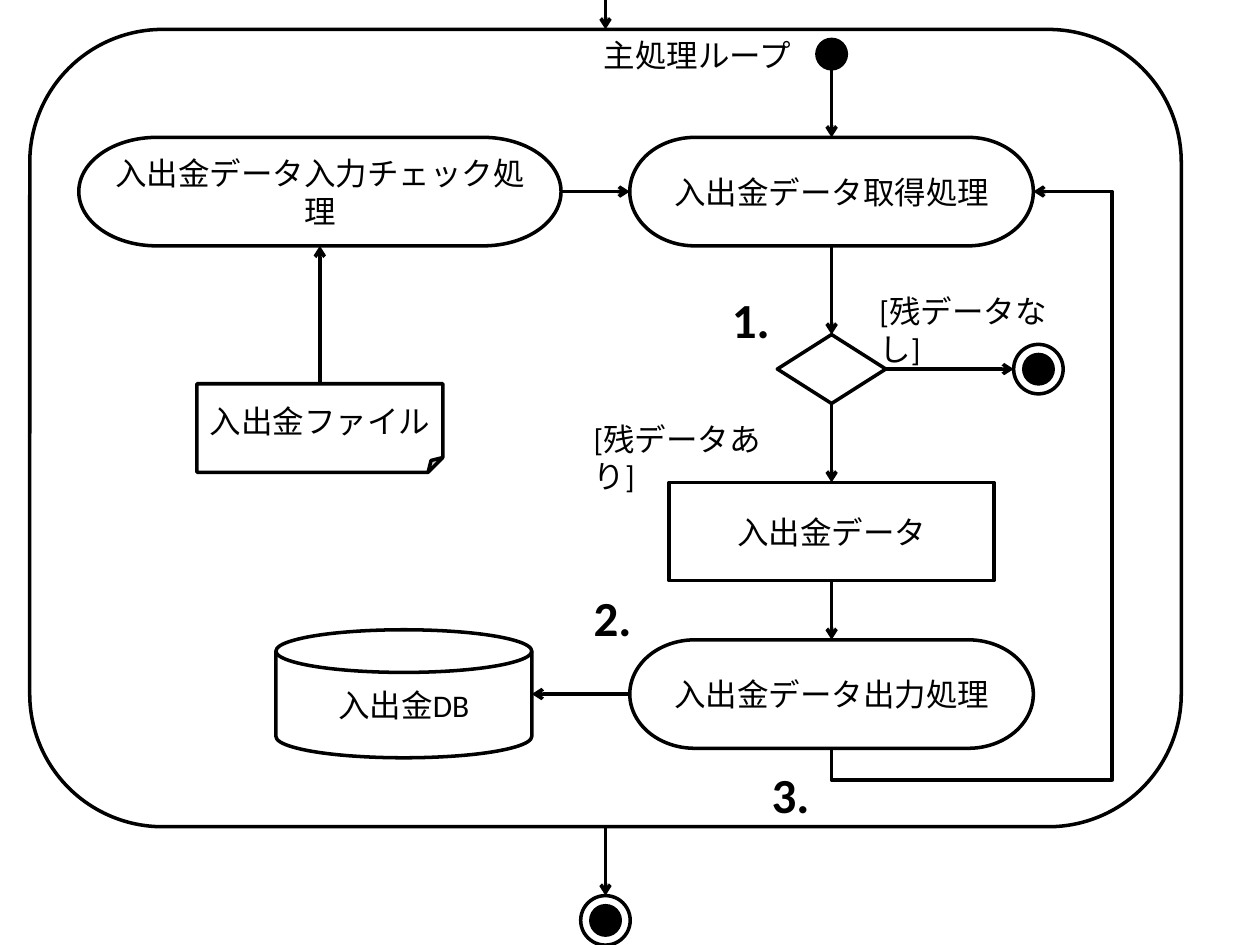
"""Build the activity diagram of the main deposit and withdrawal loop."""
from dataclasses import dataclass

from lxml import etree
from pptx import Presentation
from pptx.dml.color import RGBColor
from pptx.enum import shapes, text
from pptx.oxml import ns
from pptx.util import Pt

BLACK = RGBColor(0, 0, 0)
WHITE = RGBColor(255, 255, 255)
FONT = "Calibri"
KIND = shapes.MSO_SHAPE
TOP, LEFT, BOTTOM, RIGHT = range(4)
MAIN_X, FILE_X, FRAME_X = 475.2, 182.8, 346
DOT, RING = 16.8, 28.3


@dataclass(frozen=True)
class Node:
    kind: KIND
    cx: float
    y: float
    w: float
    h: float
    label: str = ""
    fill: RGBColor | None = WHITE


@dataclass(frozen=True)
class Label:
    x: float
    y: float
    w: float
    h: float
    words: str
    size: float = 18
    bold: bool = False


@dataclass(frozen=True)
class End:
    x: float = 0
    y: float = 0
    node: str = ""
    site: int = TOP


NODES = {
    "frame": Node(KIND.ROUNDED_RECTANGLE, FRAME_X, 16.8, 658, 455.6, fill=None),
    "get": Node(KIND.FLOWCHART_TERMINATOR, MAIN_X, 78.5, 230.6, 62),
    "check": Node(KIND.FLOWCHART_TERMINATOR, FILE_X, 78.5, 275.6, 62),
    "decision": Node(KIND.FLOWCHART_DECISION, MAIN_X, 191.2, 62, 39.4),
    "file": Node(KIND.FOLDED_CORNER, FILE_X, 219.3, 140.6, 50.6),
    "data": Node(KIND.FLOWCHART_PROCESS, MAIN_X, 275.7, 185.6, 56),
    "put": Node(KIND.FLOWCHART_TERMINATOR, MAIN_X, 365.6, 230.6, 62),
    "db": Node(KIND.FLOWCHART_MAGNETIC_DISK, 230.8, 359.9, 146.2, 73.2),
    "start": Node(KIND.OVAL, MAIN_X, 22.5, DOT, DOT, fill=BLACK),
}
WORDS = {
    "get": "入出金データ取得処理",
    "check": "入出金データ入力チェック処理",
    "file": "入出金ファイル",
    "data": "入出金データ",
    "put": "入出金データ出力処理",
    "db": "入出金DB",
}
FINALS = [(593.4, 196.8), (FRAME_X, 511.8)]
LABELS = [
    Label(495.5, 163.2, 129.6, 28.8, "[残データなし]"),
    Label(332.2, 236.3, 129.6, 28.8, "[残データあり]"),
    Label(337.8, 16.8, 140.4, 28.8, "主処理ループ"),
    Label(411.2, 162, 45.4, 41, "1.", 28, True),
    Label(332.2, 332, 45.4, 41, "2.", 28, True),
    Label(433.8, 433.4, 45.4, 41, "3.", 28, True),
]
LINKS = [
    (End(MAIN_X, 39.3), End(node="get")),
    (End(node="check", site=RIGHT), End(node="get", site=LEFT)),
    (End(node="file"), End(node="check", site=BOTTOM)),
    (End(node="get", site=BOTTOM), End(node="decision")),
    (End(node="decision", site=RIGHT), End(579.3, 210.9)),
    (End(node="decision", site=BOTTOM), End(node="data")),
    (End(node="data", site=BOTTOM), End(node="put")),
    (End(node="put", site=LEFT), End(303.9, 396.6)),
    (End(FRAME_X, -16.8), End(node="frame")),
    (End(node="frame", site=BOTTOM), End(FRAME_X, 511.8)),
]


def write(tf, words: str, *, size: float = 18, bold: bool = False, align=None) -> None:
    """Put formatted words into a text frame."""
    tf.word_wrap = True
    p = tf.paragraphs[0]
    p.alignment = align
    r = p.add_run()
    r.text = words
    r.font.name, r.font.size, r.font.bold = FONT, Pt(size), bold
    r.font.color.rgb = BLACK


def add_node(parent, node: Node, words: str = ""):
    """Draw an outlined shape and its centred words."""
    sp = parent.add_shape(node.kind, Pt(node.cx - node.w / 2), Pt(node.y),
                          Pt(node.w), Pt(node.h))
    sp.shadow.inherit = False
    if node.fill is None:
        sp.fill.background()
    else:
        sp.fill.solid()
        sp.fill.fore_color.rgb = node.fill
    sp.line.color.rgb = BLACK
    sp.line.width = Pt(2)
    if words:
        sp.text_frame.vertical_anchor = text.MSO_ANCHOR.MIDDLE
        write(sp.text_frame, words, align=text.PP_ALIGN.CENTER)
    return sp


def add_final(s, cx: float, y: float) -> None:
    """Draw a ringed end point."""
    group = s.shapes.add_group_shape().shapes
    add_node(group, Node(KIND.OVAL, cx, y + (RING - DOT) / 2, DOT, DOT, fill=BLACK))
    add_node(group, Node(KIND.OVAL, cx, y, RING, RING, fill=None))


def add_label(s, label: Label) -> None:
    """Draw a free text label."""
    sp = s.shapes.add_textbox(Pt(label.x), Pt(label.y), Pt(label.w), Pt(label.h))
    write(sp.text_frame, label.words, size=label.size, bold=label.bold)
    sp.text_frame.auto_size = text.MSO_AUTO_SIZE.SHAPE_TO_FIT_TEXT


def add_arrow(s, kind, x1: float, y1: float, x2: float, y2: float):
    """Draw a connector with an open arrowhead at its end."""
    c = s.shapes.add_connector(kind, Pt(x1), Pt(y1), Pt(x2), Pt(y2))
    c.line.color.rgb = BLACK
    c.line.width = Pt(2)
    etree.SubElement(c.line._get_or_add_ln(), ns.qn("a:tailEnd"), type="arrow")
    etree.SubElement(c._element.spPr, ns.qn("a:effectLst"))
    return c


def add_link(s, drawn: dict, begin: End, end: End) -> None:
    """Draw a straight arrow, joined to the nodes that its ends name."""
    c = add_arrow(s, shapes.MSO_CONNECTOR.STRAIGHT, begin.x, begin.y, end.x, end.y)
    if begin.node:
        c.begin_connect(drawn[begin.node], begin.site)
    if end.node:
        c.end_connect(drawn[end.node], end.site)


def add_return(s, begin: Node, end: Node) -> None:
    """Draw the loop arrow from the bottom of one node to the right of another."""
    x1, y1 = begin.cx, begin.y + begin.h
    x2, y2 = end.cx + end.w / 2, end.y + end.h / 2
    cx, cy, w, h = (x1 + x2) / 2, (y1 + y2) / 2, y1 - y2, x2 - x1
    c = add_arrow(s, shapes.MSO_CONNECTOR.ELBOW,
                  cx + w / 2, cy + h / 2, cx - w / 2, cy - h / 2)
    spPr = c._element.spPr
    spPr.find(ns.qn("a:xfrm")).set("rot", "5400000")
    geom = spPr.find(ns.qn("a:prstGeom"))
    geom.set("prst", "bentConnector4")
    guides = geom.find(ns.qn("a:avLst"))
    for name, value in (("adj1", -5700), ("adj2", 139000)):
        etree.SubElement(guides, ns.qn("a:gd"), name=name, fmla=f"val {value}")


def main() -> None:
    """Draw the slide and save it."""
    prs = Presentation()
    prs.slide_width, prs.slide_height = Pt(720), Pt(540)
    s = prs.slides.add_slide(prs.slide_layouts[6])
    drawn = {key: add_node(s.shapes, node, WORDS.get(key, ""))
             for key, node in NODES.items()}
    for cx, y in FINALS:
        add_final(s, cx, y)
    for begin, end in LINKS:
        add_link(s, drawn, begin, end)
    add_return(s, NODES["put"], NODES["get"])
    for label in LABELS:
        add_label(s, label)
    prs.save("out.pptx")


if __name__ == "__main__":
    main()
